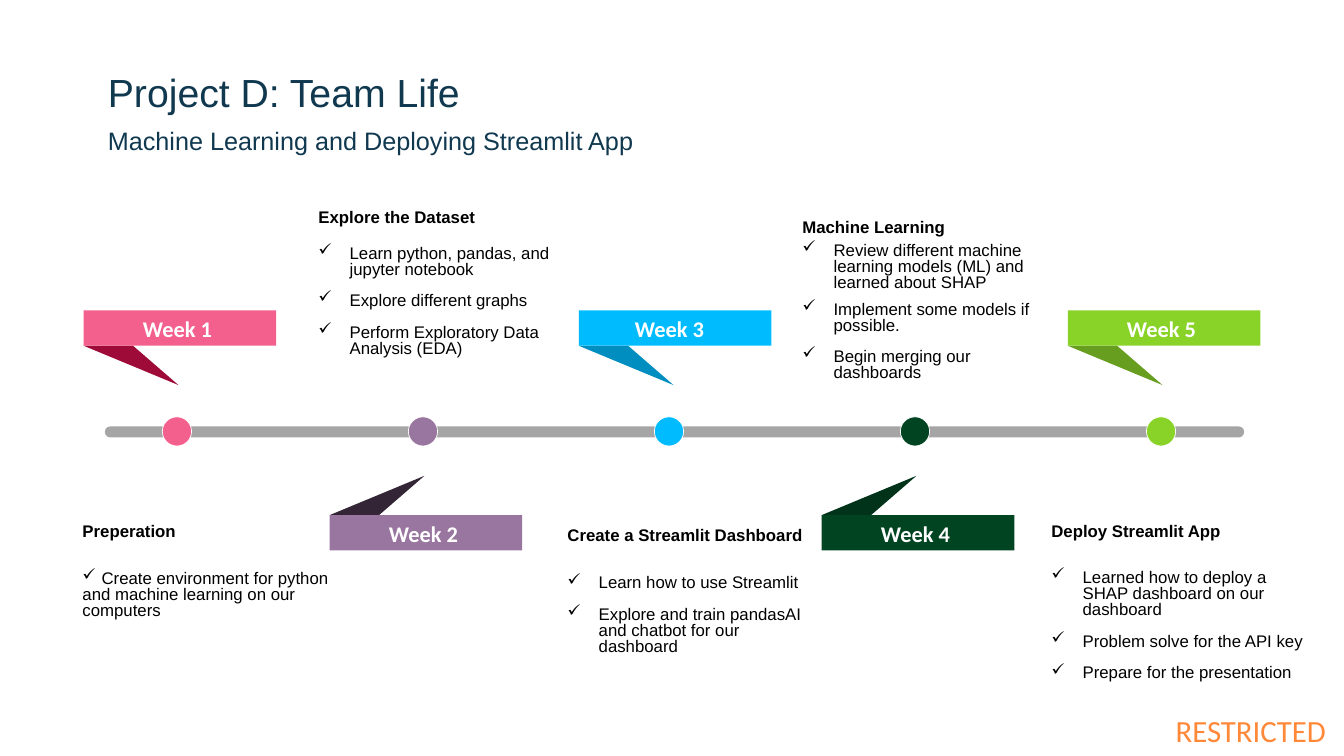
import pptx
import pptx.util
import pptx.dml.color
import pptx.enum.shapes
import pptx.enum.text
import pptx.oxml.ns
import lxml.etree

COLUMNS, ROWS = 133.3, 75
CELL = pptx.util.Inches(0.1)
WEEK_STEP = 24.4
BANNER_WIDTH, BANNER_HEIGHT = 19.1, 3.5
DOT_SIZE = 2.9
UPPER_ROW, LOWER_ROW = 30.8, 51.1
LINE_GAP = 11

SHAPES = pptx.enum.shapes.MSO_SHAPE
ANCHOR = pptx.enum.text.MSO_ANCHOR
ALIGN = pptx.enum.text.PP_ALIGN

COLORS = {
    "title": "10384F",
    "body": "000000",
    "white": "FFFFFF",
    "bar": "808080",
    "restricted": "FF8939",
}

WEEKS = [
    ("Week 1", 8.3, "F4608D", "9E0B38"),
    ("Week 2", 32.7, "99769F", "332535"),
    ("Week 3", 57.4, "00BCFF", "008DBF"),
    ("Week 4", 81.5, "004422", "00331A"),
    ("Week 5", 105.9, "89D329", "679E1F"),
]

HEADINGS = [
    ("Explore the Dataset", 30.6, 18.4, 6.6, 0.8),
    ("Create a Streamlit Dashboard", 55.3, 51.1, 4.3, 0.8),
    ("Machine Learning", 78.6, 18.6, 8.2, 0.8),
    ("Deploy Streamlit App", 103.3, 51.2, 3, 1),
]

CHECKLISTS = [
    (30.6, 23.8, 12.3, ["Learn python, pandas, and jupyter notebook",
                        "Explore different graphs",
                        "Perform Exploratory Data Analysis (EDA)"]),
    (55.3, 53.7, 14.8, ["Learn how to use Streamlit",
                        "Explore and train pandasAI and chatbot for our dashboard"]),
    (78.6, 23.6, 5.9, ["Review different machine learning models (ML) and learned about SHAP"]),
    (78.6, 28, 11.9, ["Implement some models if possible.",
                      "Begin merging our dashboards"]),
    (103.3, 56, 12.3, ["Learned how to deploy a SHAP dashboard on our dashboard",
                       "Problem solve for the API key",
                       "Prepare for the presentation"]),
]
NOTE_WIDTH = 27.3


def cells(count):
    return int(count * CELL)


def rgb(color):
    return pptx.dml.color.RGBColor.from_string(color)


def add_box(page, left, top, width, height, anchor=ANCHOR.TOP, padded=True):
    box = page.shapes.add_textbox(cells(left), cells(top), cells(width), cells(height))
    frame = box.text_frame
    frame.word_wrap = True
    frame.vertical_anchor = anchor
    if not padded:
        frame.margin_left = frame.margin_right = 0
        frame.margin_top = frame.margin_bottom = 0
    return frame


def add_check(para, indent):
    properties = para._p.get_or_add_pPr()
    properties.set("marL", str(cells(indent)))
    properties.set("indent", str(-cells(indent)))
    bullet = lxml.etree.SubElement(properties, pptx.oxml.ns.qn("a:buChar"))
    bullet.set("char", "✓")


def write(frame, text, size=12, color="body", font="Arial", bold=False, align=ALIGN.LEFT,
          spacing=1, gap=0, check_indent=0):
    first = frame.paragraphs[0]
    para = frame.add_paragraph() if first.runs else first
    if check_indent:
        add_check(para, check_indent)
    para.alignment = align
    para.line_spacing = spacing
    if gap:
        para.space_before = pptx.util.Pt(gap)
    span = para.add_run()
    span.text = text
    span.font.size = pptx.util.Pt(size)
    span.font.name = font
    span.font.bold = bold
    span.font.color.rgb = rgb(COLORS[color])


def paint(shape, color):
    shape.shadow.inherit = False
    shape.fill.solid()
    shape.fill.fore_color.rgb = rgb(color)
    shape.line.fill.background()
    return shape


def add_preset(page, kind, left, top, width, height, color):
    shape = page.shapes.add_shape(kind, cells(left), cells(top), cells(width), cells(height))
    return paint(shape, color)


def add_bar(page):
    bar = add_preset(page, SHAPES.ROUNDED_RECTANGLE, 10.4, 42.3, 113, 1.1, COLORS["bar"])
    bar.adjustments[0] = 0.5
    tone = bar._element.spPr.find(".//" + pptx.oxml.ns.qn("a:srgbClr"))
    lxml.etree.SubElement(tone, pptx.oxml.ns.qn("a:alpha")).set("val", "70000")


def add_dot(page, index, color):
    left = 16.1 + index * WEEK_STEP
    dot = add_preset(page, SHAPES.OVAL, left, 41.35, DOT_SIZE, DOT_SIZE, color)
    dot.line.color.rgb = rgb(COLORS["white"])
    dot.line.width = pptx.util.Pt(0.5)


def add_pointer(page, left, base, tip, color):
    builder = page.shapes.build_freeform(cells(left), cells(base))
    builder.add_line_segments([(cells(left + 4.9), cells(base)),
                               (cells(left + 9.4), cells(tip))])
    paint(builder.convert_to_shape(), color)


def add_week(page, index, label, left, color, shade):
    upper = index % 2 == 0
    top = UPPER_ROW if upper else LOWER_ROW
    base = top + BANNER_HEIGHT if upper else top
    tip = base + 3.9 if upper else base - 3.9
    add_dot(page, index, color)
    add_pointer(page, left, base, tip, shade)
    add_preset(page, SHAPES.RECTANGLE, left, top, BANNER_WIDTH, BANNER_HEIGHT, color)
    frame = add_box(page, 10.7 + index * WEEK_STEP, top, 13.8, 3.7)
    write(frame, label, 16, "white", "Calibri", True, ALIGN.CENTER)


def add_preparation(page):
    frame = add_box(page, 7.2, 51.4, NOTE_WIDTH, 10.7, ANCHOR.MIDDLE)
    write(frame, "Preperation", bold=True, spacing=0.8)
    write(frame, "Create environment for python", spacing=0.8, gap=2 * LINE_GAP,
          check_indent=1.9)
    write(frame, "and machine learning on our computers", spacing=0.8)


def add_heading(page, text, left, top, height, spacing):
    frame = add_box(page, left, top, NOTE_WIDTH, height, ANCHOR.MIDDLE)
    write(frame, text, bold=True, spacing=spacing)


def add_checklist(page, left, top, height, items):
    frame = add_box(page, left, top, NOTE_WIDTH, height, ANCHOR.MIDDLE)
    for position, item in enumerate(items):
        write(frame, item, spacing=0.8, gap=LINE_GAP if position else 0, check_indent=3.1)


def main():
    deck = pptx.Presentation()
    deck.slide_width = cells(COLUMNS)
    deck.slide_height = cells(ROWS)
    page = deck.slides.add_slide(deck.slide_layouts[6])

    title = add_box(page, 10.7, 2, 118.1, 9.4, ANCHOR.BOTTOM, padded=False)
    write(title, "Project D: Team Life", 28, "title")
    subtitle = add_box(page, 10.7, 12.4, 118.1, 2.8, padded=False)
    write(subtitle, "Machine Learning and Deploying Streamlit App", 18, "title")
    restricted = add_box(page, 112.8, 69.9, 20.5, 5.1, ANCHOR.MIDDLE, padded=False)
    restricted.margin_right = cells(1.8)
    write(restricted, "RESTRICTED", 22, "restricted", "Calibri", align=ALIGN.RIGHT)

    add_preparation(page)
    for heading in HEADINGS:
        add_heading(page, *heading)
    for checklist in CHECKLISTS:
        add_checklist(page, *checklist)

    add_bar(page)
    for index, week in enumerate(WEEKS):
        add_week(page, index, *week)

    deck.save("out.pptx")


if __name__ == "__main__":
    main()
